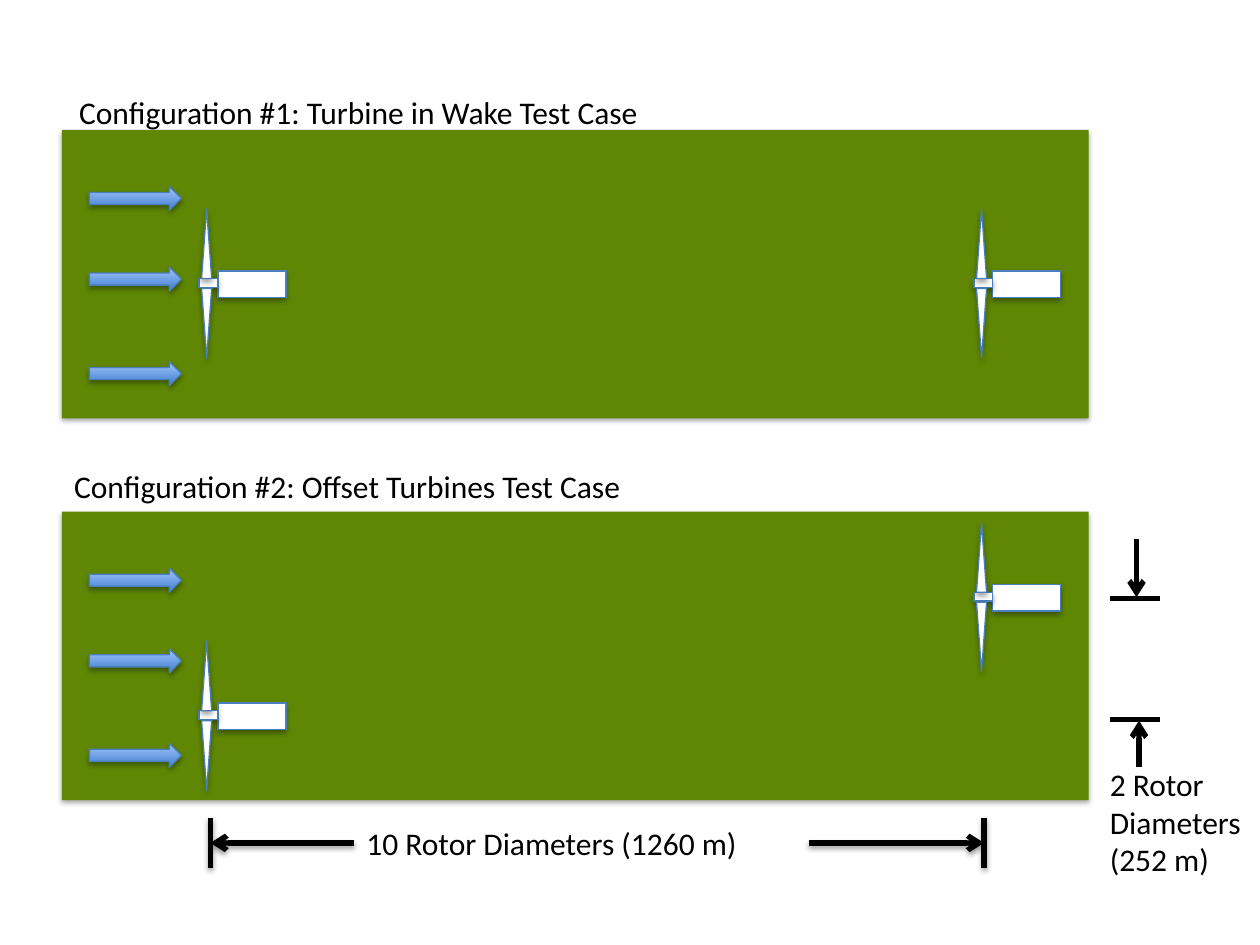
import lxml.etree
import pptx
import pptx.dml.color
import pptx.enum.shapes
import pptx.oxml.ns
import pptx.util

Inches = pptx.util.Inches
Pt = pptx.util.Pt
RGBColor = pptx.dml.color.RGBColor
SHAPE = pptx.enum.shapes.MSO_SHAPE
qn = pptx.oxml.ns.qn

BLACK = RGBColor(0x00, 0x00, 0x00)
WHITE = RGBColor(0xFF, 0xFF, 0xFF)
GREEN = RGBColor(0x5F, 0x87, 0x04)
OUTLINE = RGBColor(0x4B, 0x7E, 0xBC)
WIND_DARK = RGBColor(0x3F, 0x80, 0xCE)
WIND_LIGHT = RGBColor(0xA4, 0xC4, 0xFF)

# Content: field top, then (left, hub centre) of each turbine
CONFIGURATIONS = [
    {"top": 4.06, "turbines": [(1.58, 5.68), (7.73, 4.74)]},
    {"top": 1.03, "turbines": [(1.58, 2.25), (7.73, 2.25)]},
]
WIND_OFFSETS = [0.45, 1.09, 1.84]
# Turbine parts: shape, offset from left and hub centre, size, rotation
TURBINE_PARTS = [
    (SHAPE.RECTANGLE, 0.15, -0.1, 0.54, 0.21, 0),
    (SHAPE.RECTANGLE, 0, -0.04, 0.15, 0.07, 0),
    (SHAPE.ISOSCELES_TRIANGLE, 0.02, -0.59, 0.08, 0.55, 0),
    (SHAPE.ISOSCELES_TRIANGLE, 0.02, 0.04, 0.08, 0.55, 180),
]
LABELS = [
    ("Configuration #1: Turbine in Wake Test Case ", 0.53, 0.69, 6.73, 0.4),
    ("Configuration #2: Offset Turbines Test Case", 0.49, 3.66, 6.73, 0.4),
    ("10 Rotor Diameters (1260 m)", 2.81, 6.49, 3.61, 0.4),
    ("2 Rotor Diameters (252 m)", 8.71, 6.02, 1.36, 1.01),
]
# Dimension lines: start, end, arrowhead, shadow
DIMENSIONS = [
    ((1.67, 6.49), (1.67, 6.89), False, True),
    ((7.81, 6.49), (7.81, 6.89), False, True),
    ((2.81, 6.69), (1.67, 6.69), True, True),
    ((6.42, 6.69), (7.81, 6.69), True, True),
    ((9.21, 4.75), (8.81, 4.75), False, False),
    ((9.21, 5.71), (8.81, 5.71), False, False),
    ((9.02, 4.28), (9.02, 4.74), True, False),
    ((9.04, 6.09), (9.04, 5.72), True, False),
]

deck = pptx.Presentation()
deck.slide_width, deck.slide_height = Inches(10), Inches(7.5)
page = deck.slides.add_slide(deck.slide_layouts[6])


def set_effects(shape, opacity=None, distance=1.8):
    """Give a downward shadow, or none when opacity is None."""
    effects = lxml.etree.SubElement(shape._element.spPr, qn("a:effectLst"))
    if opacity is None:
        return
    shadow = lxml.etree.SubElement(
        effects, qn("a:outerShdw"), blurRad=str(Pt(3.1)), dist=str(Pt(distance)),
        dir="5400000", rotWithShape="0")
    color = lxml.etree.SubElement(shadow, qn("a:srgbClr"), val=str(BLACK))
    lxml.etree.SubElement(color, qn("a:alpha"), val=str(opacity * 1000))


def add_block(parent, kind, left, top, width, height, fill=None, line=None, rotation=0):
    """Add a shadowed shape; without a fill colour it gets the wind gradient."""
    block = parent.shapes.add_shape(
        kind, Inches(left), Inches(top), Inches(width), Inches(height))
    block.rotation = rotation
    if fill is not None:
        block.fill.solid()
        block.fill.fore_color.rgb = fill
    else:
        block.fill.gradient()
        block.fill.gradient_angle = 90
        for stop, color in zip(block.fill.gradient_stops, (WIND_DARK, WIND_LIGHT)):
            stop.color.rgb = color
    if line is not None:
        block.line.color.rgb = line
        block.line.width = Pt(0.75)
    else:
        block.line.fill.background()
    set_effects(block, 35)


def add_label(text, left, top, width, height, size=18, font="Calibri", color=BLACK):
    box = page.shapes.add_textbox(
        Inches(left), Inches(top), Inches(width), Inches(height))
    box.text_frame.word_wrap = True
    span = box.text_frame.paragraphs[0].add_run()
    span.text = text
    span.font.size = Pt(size)
    span.font.name = font
    span.font.color.rgb = color


def add_dimension(start, end, arrow, shadow):
    line = page.shapes.add_connector(
        pptx.enum.shapes.MSO_CONNECTOR.STRAIGHT, *map(Inches, start + end))
    line.line.color.rgb = BLACK
    line.line.width = Pt(3)
    if arrow:
        stroke = line._element.spPr.find(qn("a:ln"))
        lxml.etree.SubElement(stroke, qn("a:tailEnd"), type="arrow")
    set_effects(line, 38 if shadow else None, 1.6)


# Fields with turbines and wind arrows
for configuration in CONFIGURATIONS:
    field_top = configuration["top"]
    add_block(page, SHAPE.RECTANGLE, 0.49, field_top, 8.15, 2.29, GREEN)
    for left, centre in configuration["turbines"]:
        turbine = page.shapes.add_group_shape()
        for kind, across, down, width, height, rotation in TURBINE_PARTS:
            add_block(turbine, kind, left + across, centre + down, width, height,
                      WHITE, OUTLINE, rotation)
    for offset in WIND_OFFSETS:
        add_block(page, SHAPE.RIGHT_ARROW, 0.71, field_top + offset, 0.73, 0.19,
                  line=OUTLINE)

# Labels and dimension lines
for label in LABELS:
    add_label(*label)
for dimension in DIMENSIONS:
    add_dimension(*dimension)

deck.save("out.pptx")
